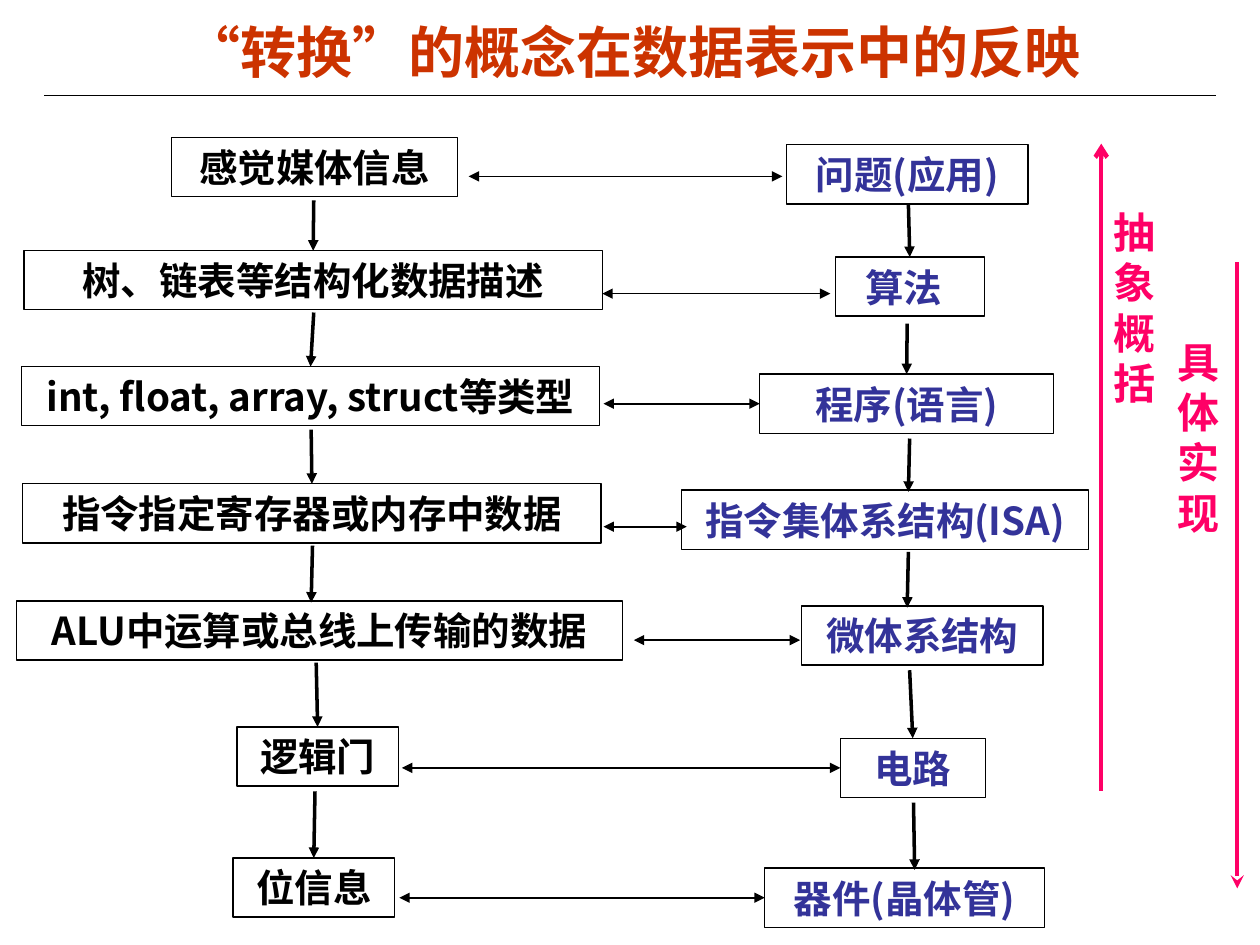
from lxml.etree import SubElement
from pptx import Presentation
from pptx.dml.color import RGBColor
from pptx.enum.shapes import MSO_CONNECTOR, MSO_SHAPE
from pptx.enum.text import MSO_ANCHOR, PP_ALIGN
from pptx.oxml.ns import qn
from pptx.util import Pt

COLORS = {"black": "000000", "blue": "333399", "pink": "FF0066", "title": "CC3300"}
CJK_FONT = "Noto Sans CJK SC"
BOX_HEIGHT = 33.8
JOIN_TOLERANCE = 2
TOP, LEFT = 0, 1

DATA_BOXES = [
    ("感觉媒体信息", 98, 78.5, 163.5),
    ("树、链表等结构化数据描述", 13.7, 143.3, 330.5),
    ("int, float, array, struct等类型", 12.2, 209.5, 330.5),
    ("指令指定寄存器或内存中数据", 13, 276.5, 330.5),
    ("ALU中运算或总线上传输的数据", 9.4, 343.4, 346.3),
    ("逻辑门", 135.4, 415.4, 92.2),
    ("位信息", 133.2, 490.3, 92.2),
]
SYSTEM_BOXES = [
    ("问题(应用)", 449.3, 82.8, 138.2),
    ("算法", 477.4, 146.9, 85),
    ("程序(语言)", 434.2, 213.8, 167.8),
    ("指令集体系结构(ISA)", 389.5, 280.1, 232.6),
    ("微体系结构", 457.9, 346.3, 138.2),
    ("电路", 480.2, 421.9, 82.8),
    ("器件(晶体管)", 437, 496.1, 159.8),
]
SYSTEM_FORMATS = {
    "算法": {"align": PP_ALIGN.LEFT, "inset_left": 17},
    "指令集体系结构(ISA)": {"inset_left": 0, "inset_right": 0},
}
# start x, start y, end x
DATA_STEPS = [
    (179.3, 114.5, 179.3), (179.3, 178.6, 178.6), (177.8, 245.5, 177.1),
    (178.6, 311.8, 177.8), (180.7, 378.7, 180.7), (180, 452.2, 180),
]
SYSTEM_STEPS = [
    (519.1, 116.6, 519.1), (518.4, 185, 518.4), (519.8, 250.6, 519.1),
    (519.1, 315.4, 518.4), (519.8, 383, 520.6), (522, 458.6, 522.7),
]
# right x, left x, y
LINKS = [
    (447.1, 267.8, 100.8), (474.5, 344.2, 167.8), (434.2, 344.9, 232.6),
    (392.4, 344.9, 301), (457.2, 362.2, 365.8), (479.5, 229.7, 437),
    (437.8, 228.2, 511.9),
]


def write_text(shape, spans, size, color, align=PP_ALIGN.CENTER, inset_left=7.2,
               inset_right=7.2, anchor=MSO_ANCHOR.MIDDLE, spacing=None):
    frame = shape.text_frame
    frame.word_wrap = True
    frame.vertical_anchor = anchor
    frame.margin_left, frame.margin_right = Pt(inset_left), Pt(inset_right)
    frame.margin_top = frame.margin_bottom = Pt(3.6)
    para = frame.paragraphs[0]
    para.alignment = align
    if spacing:
        para.line_spacing = Pt(spacing)
    for text, font_name in spans:
        span = para.add_run()
        span.text = text
        span.font.name = font_name
        span.font.size = Pt(size)
        span.font.bold = True
        span.font.color.rgb = RGBColor.from_string(COLORS[color])
        SubElement(span.font._element, qn("a:ea")).set("typeface", CJK_FONT)


def add_label(page, spans, left, top, width, height, **text_format):
    label = page.shapes.add_textbox(Pt(left), Pt(top), Pt(width), Pt(height))
    write_text(label, spans, **text_format)


def add_box(page, text, left, top, width, color, **text_format):
    box = page.shapes.add_shape(MSO_SHAPE.RECTANGLE, Pt(left), Pt(top), Pt(width), Pt(BOX_HEIGHT))
    box.shadow.inherit = False
    box.fill.background()
    box.line.color.rgb = RGBColor.from_string(COLORS["black"])
    box.line.width = Pt(0.75)
    write_text(box, [(text, CJK_FONT)], size=22, color=color, **text_format)
    return box


def add_line(page, start, end, width, color="black", head=None, tail=None):
    line = page.shapes.add_connector(MSO_CONNECTOR.STRAIGHT, *map(Pt, start + end))
    line.line.color.rgb = RGBColor.from_string(COLORS[color])
    line.line.width = Pt(width)
    for tag, kind in (("a:headEnd", head), ("a:tailEnd", tail)):
        if kind:
            SubElement(line.line._get_or_add_ln(), qn(tag)).set("type", kind)
    SubElement(line._element.spPr, qn("a:effectLst"))
    return line


def add_steps(page, steps, boxes):
    for (start_x, start_y, end_x), box in zip(steps, boxes[1:]):
        arrow = add_line(page, (start_x, start_y), (end_x, box.top.pt + 1), 2, tail="triangle")
        if abs(end_x - box.left.pt - box.width.pt / 2) <= JOIN_TOLERANCE:
            arrow.end_connect(box, TOP)


def add_links(page, boxes):
    for (right, left, y), box in zip(LINKS, boxes):
        middle = box.top.pt + box.height.pt / 2
        joined = abs(y - middle) <= JOIN_TOLERANCE and abs(right - box.left.pt) <= JOIN_TOLERANCE
        level = middle if joined else y
        link = add_line(page, (right, level), (left, level), 1, head="triangle", tail="triangle")
        if joined:
            link.begin_connect(box, LEFT)


def main():
    deck = Presentation()
    deck.slide_width, deck.slide_height = Pt(720), Pt(540)
    page = deck.slides.add_slide(deck.slide_layouts[6])

    add_line(page, (25.2, 54.7), (694.8, 54.7), 0.75)
    title = [("“", CJK_FONT), ("转换", "Arial"), ("”", CJK_FONT),
             ("的概念在数据表示中的反映", "Arial")]
    add_label(page, title, 63.4, 7.9, 596.2, 42.5, size=32, color="title",
              inset_left=5, inset_right=5)

    add_line(page, (707, 149.8), (707, 507.6), 2.5, "pink", tail="stealth")
    add_line(page, (629.3, 82.1), (629.3, 452.2), 2.5, "pink", head="arrow")
    for text, left, top in (("具体实现", 666, 188.6), ("抽象概括", 629.3, 114.5)):
        add_label(page, [(text, "Times New Roman")], left, top, 37.4, 122.4, size=24,
                  color="pink", align=PP_ALIGN.LEFT, anchor=MSO_ANCHOR.TOP, spacing=28.8)

    data_boxes = [add_box(page, *entry, "black") for entry in DATA_BOXES]
    system_boxes = [add_box(page, *entry, "blue", **SYSTEM_FORMATS.get(entry[0], {}))
                    for entry in SYSTEM_BOXES]
    add_steps(page, DATA_STEPS, data_boxes)
    add_steps(page, SYSTEM_STEPS, system_boxes)
    add_links(page, system_boxes)
    deck.save("out.pptx")


if __name__ == "__main__":
    main()
